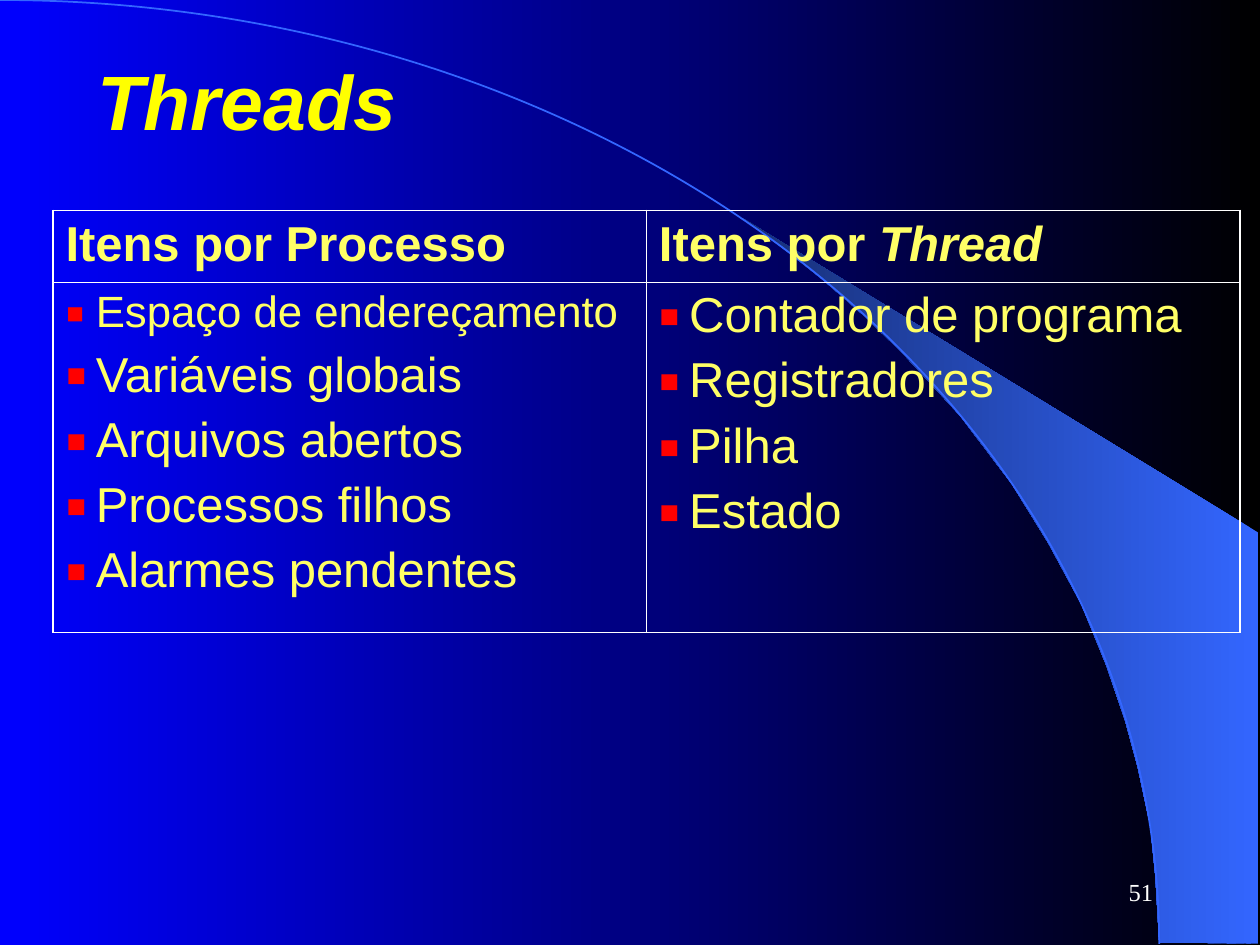
from lxml import etree
from pptx import Presentation
from pptx.dml.color import RGBColor
from pptx.enum.shapes import MSO_SHAPE
from pptx.enum.text import MSO_ANCHOR, PP_ALIGN
from pptx.oxml.ns import qn
from pptx.util import Inches, Pt

ARC = MSO_SHAPE.ARC
MIDDLE = MSO_ANCHOR.MIDDLE
LEFT, RIGHT, JUSTIFY = PP_ALIGN.LEFT, PP_ALIGN.RIGHT, PP_ALIGN.JUSTIFY

TITLE = "Threads"
NUMBER = "51"
# Runs of each heading: text, italic
HEADS = [
    [("Itens por Processo", False)],
    [("Itens por ", False), ("Thread", True)],
]
# Items of each column: text, size
ITEMS = [
    [("Espaço de endereçamento", 25), ("Variáveis globais", 28),
     ("Arquivos abertos", 28), ("Processos filhos", 28),
     ("Alarmes pendentes", 28)],
    [("Contador de programa", 28), ("Registradores", 28),
     ("Pilha", 28), ("Estado", 28)],
]
WIDE, HIGH = 10, 7.5
ROWS = [0.57, 2.78]
COLS = [4.71, 4.71]
THICK, THIN = 1.08, 0.45
INDENT = 0.24
RX, RY = 9.2, 7.49
BEAM = [(9.2, 7.48), (9.99, 7.49), (9.99, 4.23), (5.89, 1.73), (6.24, 1.99),
        (6.53, 2.22), (6.85, 2.5), (7.16, 2.8), (7.62, 3.3), (8.03, 3.84),
        (8.32, 4.31), (8.58, 4.79), (8.78, 5.28), (8.93, 5.72),
        (9.03, 6.09), (9.13, 6.56), (9.17, 6.96)]


def color(code):
    return RGBColor.from_string(code)


def box(*sides):
    return [Inches(side) for side in sides]


def blend(fill, first, last):
    """Fill with a gradient that runs from right to left."""
    fill.gradient()
    fill.gradient_angle = 180
    for stop, code in zip(fill.gradient_stops, (first, last)):
        stop.color.rgb = color(code)


def style(font, name, size, code, bold=False, italic=False):
    font.name, font.size = name, Pt(size)
    font.bold, font.italic = bold, italic
    font.color.rgb = color(code)


def bullet(para):
    props = para._p.get_or_add_pPr()
    props.set("marL", str(Inches(INDENT)))
    props.set("indent", str(-Inches(INDENT)))
    tint = etree.SubElement(props, qn("a:buClr"))
    etree.SubElement(tint, qn("a:srgbClr"), val="FF0000")
    etree.SubElement(props, qn("a:buSzPct"), val="130000")
    etree.SubElement(props, qn("a:buFont"), typeface="Arial")
    etree.SubElement(props, qn("a:buChar"), char="▪")


def border(cell, row, col):
    """Draw thick lines on the outside of the table and thin ones inside."""
    cell.fill.background()
    props = cell._tc.get_or_add_tcPr()
    outer = {"L": col == 0, "R": col == len(COLS) - 1,
             "T": row == 0, "B": row == len(ROWS) - 1}
    for spot, (side, edge) in enumerate(outer.items()):
        line = etree.Element(qn("a:ln" + side))
        line.set("w", str(Pt(THICK if edge else THIN)))
        fill = etree.SubElement(line, qn("a:solidFill"))
        etree.SubElement(fill, qn("a:srgbClr"), val="FFFFFF")
        props.insert(spot, line)


def backdrop(slide):
    blend(slide.background.fill, "000000", "0000FF")
    pen = slide.shapes.build_freeform(*box(*BEAM[0]), scale=1.0)
    pen.add_line_segments([box(*point) for point in BEAM[1:]], close=True)
    beam = pen.convert_to_shape()
    beam.shadow.inherit = False
    blend(beam.fill, "3366FF", "172F75")
    beam.line.fill.background()
    arc = slide.shapes.add_shape(ARC, *box(-RX, 0, 2 * RX, 2 * RY))
    arc.shadow.inherit = False
    arc.fill.background()
    arc.line.color.rgb = color("3366FF")
    arc.line.width = Pt(1)


def heading(slide):
    title = slide.shapes.title
    title.left, title.top, title.width, title.height = box(0.67, 0.17, 9, 1.25)
    frame = title.text_frame
    frame.text = TITLE
    frame.vertical_anchor = MIDDLE
    para = frame.paragraphs[0]
    para.alignment = LEFT
    style(para.runs[0].font, "Arial", 44, "FFFF00", True, True)


def grid(slide):
    place = box(0.42, 1.67, sum(COLS), sum(ROWS))
    table = slide.shapes.add_table(len(ROWS), len(COLS), *place).table
    table.first_row = table.horz_banding = False
    for row, size in zip(table.rows, ROWS):
        row.height = Inches(size)
    for col, size in enumerate(COLS):
        table.columns[col].width = Inches(size)
        for row in range(len(ROWS)):
            border(table.cell(row, col), row, col)
        para = table.cell(0, col).text_frame.paragraphs[0]
        for text, slant in HEADS[col]:
            run = para.add_run()
            run.text = text
            style(run.font, "Arial", 28, "FFFF66", True, slant)
        frame = table.cell(1, col).text_frame
        frame.text = "\n".join(text for text, _ in ITEMS[col])
        for spot, para in enumerate(frame.paragraphs):
            para.alignment = JUSTIFY
            if spot:
                para.space_before = Pt(6)
            bullet(para)
            style(para.runs[0].font, "Arial", ITEMS[col][spot][1], "FFFF66")


def number(slide):
    frame = slide.shapes.add_textbox(*box(7.17, 6.83, 2.08, 0.5)).text_frame
    frame.word_wrap = True
    frame.vertical_anchor = MIDDLE
    frame.text = NUMBER
    para = frame.paragraphs[0]
    para.alignment = RIGHT
    style(para.runs[0].font, "Times New Roman", 14, "FFFFFF")


def main():
    deck = Presentation()
    deck.slide_width, deck.slide_height = box(WIDE, HIGH)
    slide = deck.slides.add_slide(deck.slide_layouts[5])
    for part in (backdrop, heading, grid, number):
        part(slide)
    deck.save("out.pptx")


if __name__ == "__main__":
    main()
